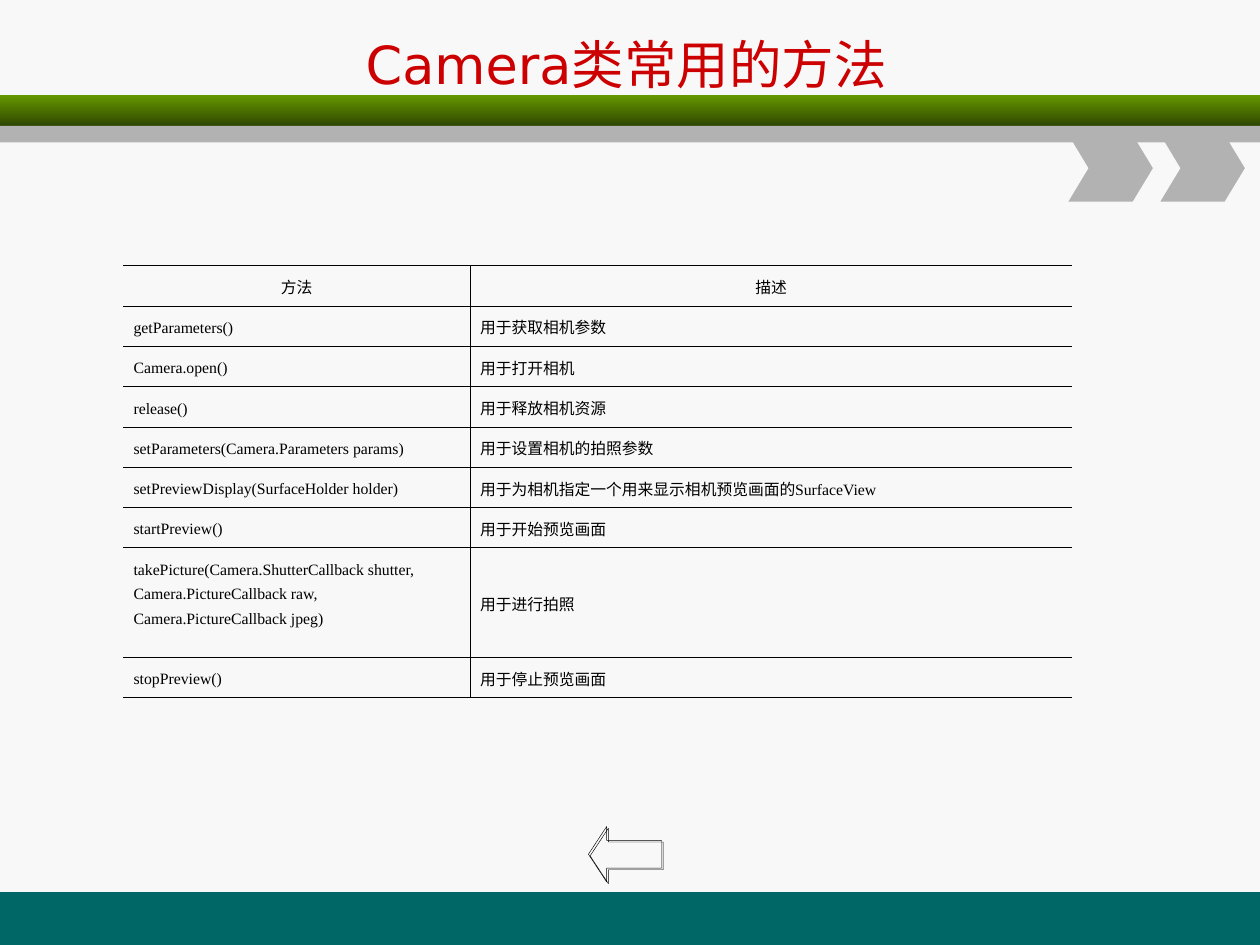
from lxml import etree
from pptx import Presentation
from pptx import util as u
from pptx.dml.color import RGBColor
from pptx.enum import shapes, text
from pptx.oxml import parse_xml
from pptx.oxml.ns import nsdecls, qn

Inches, Pt = u.Inches, u.Pt
ALIGN, ANCHOR = text.PP_ALIGN, text.MSO_ANCHOR

PAPER = RGBColor(0xF8, 0xF8, 0xF8)
TEAL = RGBColor(0x00, 0x66, 0x66)
GREEN = RGBColor(0x66, 0x99, 0x00)
DARK_GREEN = RGBColor(0x2F, 0x47, 0x00)
GRAY = RGBColor(0xB2, 0xB2, 0xB2)
RED = RGBColor(0xCC, 0x00, 0x00)
BLACK = RGBColor(0x00, 0x00, 0x00)

HEADER = ("方法", "描述")
METHODS = [
    ("getParameters()", "用于获取相机参数"),
    ("Camera.open()", "用于打开相机"),
    ("release()", "用于释放相机资源"),
    ("setParameters(Camera.Parameters params)", "用于设置相机的拍照参数"),
    ("setPreviewDisplay(SurfaceHolder holder)", "用于为相机指定一个用来显示相机预览画面的SurfaceView"),
    ("startPreview()", "用于开始预览画面"),
    ("takePicture(Camera.ShutterCallback shutter, Camera.PictureCallback raw, "
     "Camera.PictureCallback jpeg)", "用于进行拍照"),
    ("stopPreview()", "用于停止预览画面"),
]
COL_WIDTHS = (2.75, 4.78)
ROW_HEIGHTS = [0.32] * 7 + [0.87, 0.32]


def write(tf, content, size, font, color=BLACK, align=ALIGN.LEFT, spacing=None):
    tf.word_wrap = True
    p = tf.paragraphs[0]
    p.alignment = align
    if spacing:
        p.line_spacing = Pt(spacing)
    r = p.add_run()
    r.text = content
    r.font.size = Pt(size)
    r.font.name = font
    r.font.color.rgb = color


def add_bar(s, x, y, w, h, color, end_color=None):
    sp = s.shapes.add_shape(shapes.MSO_SHAPE.RECTANGLE, Inches(x), Inches(y), Inches(w), Inches(h))
    sp.shadow.inherit = False
    sp.line.fill.background()
    if end_color is None:
        sp.fill.solid()
        sp.fill.fore_color.rgb = color
        return
    sp.fill.gradient()
    sp.fill.gradient_angle = 270
    for stop, position, rgb in zip(sp.fill.gradient_stops, (0, 1), (color, end_color)):
        stop.position = position
        stop.color.rgb = rgb


def add_chevron(s, x, y, w, h, notch=0.16):
    points = [(x + w - notch, y), (x + w, y + h / 2), (x + w - notch, y + h),
              (x, y + h), (x + notch, y + h / 2)]
    builder = s.shapes.build_freeform(Inches(x), Inches(y))
    builder.add_line_segments([(Inches(px), Inches(py)) for px, py in points], close=True)
    sp = builder.convert_to_shape()
    sp.shadow.inherit = False
    sp.fill.solid()
    sp.fill.fore_color.rgb = GRAY
    sp.line.fill.background()


def add_banner(s, x, y, w):
    add_bar(s, x, y, w, 0.25, GREEN, DARK_GREEN)
    add_bar(s, x, y + 0.25, w, 0.13, GRAY)
    for i in range(2):
        add_chevron(s, x + w - 1.52 + 0.73 * i, y + 0.32, 0.67, 0.53)


def add_title(s, x, y, w, h):
    tf = s.shapes.add_textbox(Inches(x), Inches(y), Inches(w), Inches(h)).text_frame
    tf.vertical_anchor = ANCHOR.MIDDLE
    write(tf, "Camera类常用的方法", 30, "DejaVu Sans", RED, ALIGN.CENTER)


def add_back_arrow(s, x, y, w, h):
    sp = s.shapes.add_shape(shapes.MSO_SHAPE.LEFT_ARROW, Inches(x), Inches(y), Inches(w), Inches(h))
    sp.adjustments[0] = 0.5
    sp.adjustments[1] = 0.33
    sp.fill.background()
    sp.line.color.rgb = BLACK
    sp.line.width = Pt(0.25)
    sp.shadow.inherit = False
    effects = sp._element.spPr.find(qn("a:effectLst"))
    shadow = etree.SubElement(effects, qn("a:outerShdw"), blurRad="0",
                              dist=str(Pt(1.4)), dir="2700000", algn="ctr", rotWithShape="0")
    etree.SubElement(shadow, qn("a:srgbClr"), val=str(BLACK))


def set_borders(cell, visible):
    tc_pr = cell._tc.get_or_add_tcPr()
    for side in "LRTB":
        fill = f'<a:solidFill><a:srgbClr val="{BLACK}"/></a:solidFill>' if side in visible else "<a:noFill/>"
        tc_pr.append(parse_xml(f'<a:ln{side} {nsdecls("a")} w="{Pt(0.45)}">{fill}</a:ln{side}>'))


def add_methods_table(s, x, y, w, h):
    rows = [HEADER] + METHODS
    table = s.shapes.add_table(len(rows), len(HEADER), Inches(x), Inches(y), Inches(w), Inches(h)).table
    table.first_row = table.horz_banding = False
    for col, width in zip(table.columns, COL_WIDTHS):
        col.width = Inches(width)
    for i, (row, height) in enumerate(zip(table.rows, ROW_HEIGHTS)):
        row.height = Inches(height)
        for j, cell in enumerate(row.cells):
            is_name = i > 0 and j == 0
            set_borders(cell, "TBR" if j == 0 else "TBL")
            cell.fill.background()
            cell.margin_left = cell.margin_right = Inches(0.08)
            cell.margin_top = cell.margin_bottom = Inches(0.05)
            cell.vertical_anchor = ANCHOR.TOP if is_name else ANCHOR.MIDDLE
            align = ALIGN.CENTER if i == 0 else ALIGN.LEFT if is_name else ALIGN.JUSTIFY
            font = "Arial" if i == 0 else "Times New Roman"
            write(cell.text_frame, rows[i][j], 9, font, align=align, spacing=14)


def main():
    prs = Presentation()
    prs.slide_width, prs.slide_height = Inches(10), Inches(7.5)
    s = prs.slides.add_slide(prs.slide_layouts[6])
    s.background.fill.solid()
    s.background.fill.fore_color.rgb = PAPER
    add_bar(s, 0, 7.08, 10, 0.42, TEAL)
    add_banner(s, 0, 0.75, 10)
    add_title(s, 2.52, 0.17, 4.9, 0.67)
    add_back_arrow(s, 4.67, 6.56, 0.58, 0.44)
    add_methods_table(s, 0.98, 2.11, sum(COL_WIDTHS), sum(ROW_HEIGHTS))
    prs.save("out.pptx")


if __name__ == "__main__":
    main()
